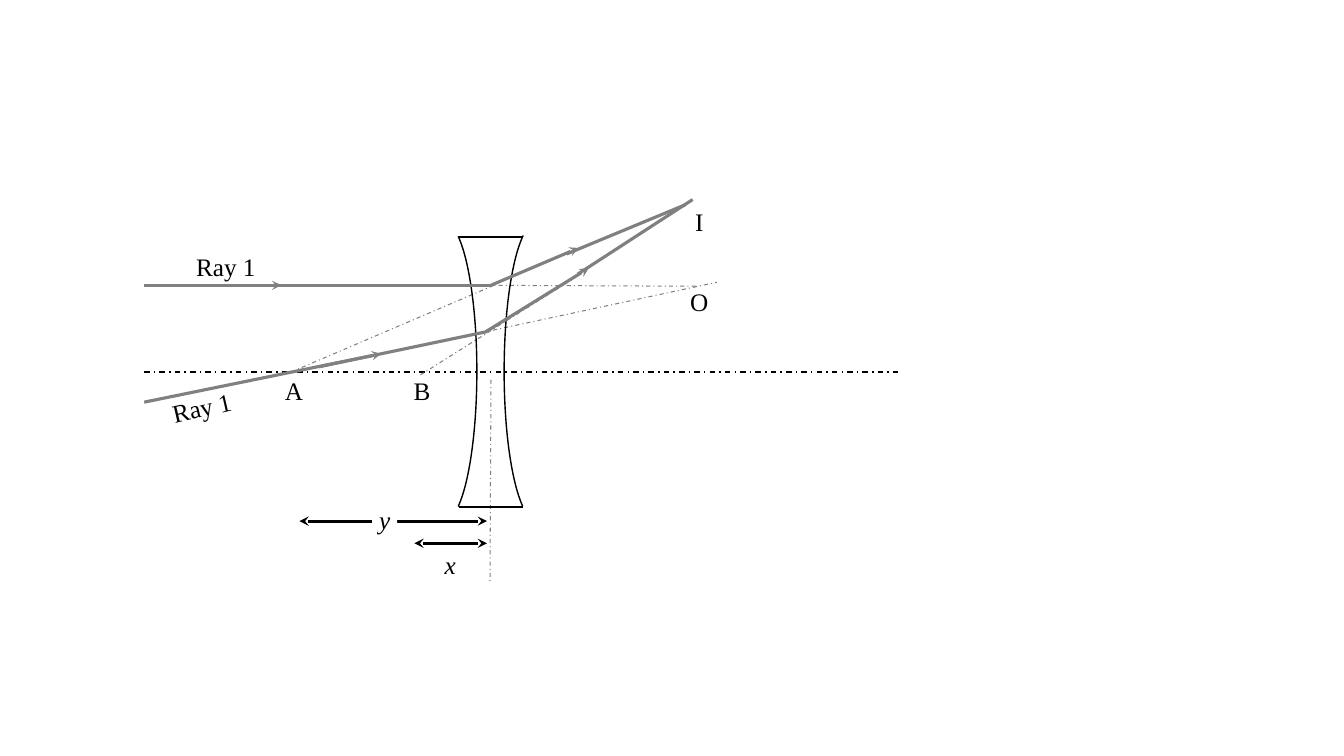
import pptx
import pptx.util
import pptx.dml.color
import pptx.enum.dml
import pptx.enum.shapes
import pptx.enum.text
import pptx.oxml
import pptx.oxml.ns

# Content: lengths in inches
HEX = {"ink": "000000", "ray": "808080", "paper": "FFFFFF"}
FONT = "Times New Roman"
WIDE, HIGH = 13.33, 7.5
AXIS, TOP, LEFT = 3.69, 2.83, 1.43   # optical axis, upper ray, ray start
LENS = 4.87                          # middle of the lens
BOX_W, BOX_H = 0.25, 0.3

# Thin guides: start, end, colour, width
GUIDES = [
    ((LEFT, AXIS), (8.91, AXIS), "ink", 1),
    ((2.89, AXIS), (4.9, TOP), "ray", 0.75),
    ((4.17, 3.72), (5.71, 2.75), "ray", 0.75),
    ((LENS, 3.77), (4.86, 5.78), "ray", 0.75),
    ((4.45, 3.37), (7.11, 2.8), "ray", 0.75),
    ((4.72, TOP), (6.92, 2.84), "ray", 0.75),
]

# Light rays: start, end, arrowheads
RAYS = [
    ((LEFT, TOP), (2.79, TOP), ["tail"]),
    ((LENS, TOP), (5.74, 2.46), ["tail"]),
    ((2.69, TOP), (LENS, TOP), []),
    ((LEFT, 3.99), (3.78, 3.51), ["tail"]),
    ((3.16, 3.64), (4.83, 3.29), []),
    ((4.82, 3.29), (5.84, 2.66), ["tail"]),
    ((5.62, 2.52), (6.8, 2.03), []),
    ((5.73, 2.72), (6.87, 1.98), []),
]

# Lens faces: left edge, arc angles in degrees
FACES = [(5, 95.998, 264.22), (4.08, 275.96, 84.048)]
RIMS = [2.35, 5.03]

# Distances from the lens: left end, height
SPANS = [(2.97, 5.17), (4.11, 5.39)]

# Labels: text, left, top, format
LABELS = [
    ("A", 2.79, 3.72, {}),
    ("B", 4.06, 3.72, {}),
    ("O", 6.81, 2.84, {}),
    ("I", 6.81, 2.05, {}),
    ("y", 3.69, 5, {"italic": True, "fill": "paper"}),
    ("x", 4.34, 5.45, {"italic": True, "fill": "paper"}),
    ("Ray 1", 1.69, 2.49, {"width": 1.1}),
    ("Ray 1", 1.45, 3.89, {"width": 1.1, "turn": 347}),
]

inch = pptx.util.Inches


def color(name):
    return pptx.dml.color.RGBColor.from_string(HEX[name])


def draw_line(start, end, tint, width, dash=False, heads=()):
    line = slide.shapes.add_connector(
        pptx.enum.shapes.MSO_CONNECTOR.STRAIGHT, *map(inch, start + end))
    line.line.color.rgb = color(tint)
    line.line.width = pptx.util.Pt(width)
    if dash:
        line.line.dash_style = pptx.enum.dml.MSO_LINE.DASH_DOT
    for head in heads:
        tip = pptx.oxml.parse_xml(
            f'<a:{head}End {pptx.oxml.ns.nsdecls("a")} type="stealth"/>')
        line.line._get_or_add_ln().append(tip)
    line._element.spPr.append(
        pptx.oxml.parse_xml(f'<a:effectLst {pptx.oxml.ns.nsdecls("a")}/>'))


def add_text(text, left, top, width=BOX_W, italic=None, fill=None, turn=0):
    box = slide.shapes.add_textbox(*map(inch, (left, top, width, BOX_H)))
    box.rotation = turn
    if fill:
        box.fill.solid()
        box.fill.fore_color.rgb = color(fill)
    frame = box.text_frame
    frame.word_wrap = True
    frame.auto_size = pptx.enum.text.MSO_AUTO_SIZE.SHAPE_TO_FIT_TEXT
    frame.margin_left = frame.margin_right = 0
    frame.margin_top = frame.margin_bottom = 0
    para = frame.paragraphs[0]
    para.alignment = pptx.enum.text.PP_ALIGN.CENTER
    run = para.add_run()
    run.text = text
    run.font.name = FONT
    run.font.size = pptx.util.Pt(18)
    run.font.italic = italic
    run.font.color.rgb = color("ink")


def draw_face(left, first, last):
    face = slide.shapes.add_shape(
        pptx.enum.shapes.MSO_SHAPE.ARC, *map(inch, (left, 2.2, 0.65, 2.97)))
    # An arc angle is stored in 60000ths of a degree, read in 100000ths
    face.adjustments[0] = first * 0.6
    face.adjustments[1] = last * 0.6
    face.shadow.inherit = False
    face.fill.background()
    face.line.color.rgb = color("ink")
    face.line.width = pptx.util.Pt(1)


deck = pptx.Presentation()
deck.slide_width, deck.slide_height = inch(WIDE), inch(HIGH)
slide = deck.slides.add_slide(deck.slide_layouts[6])

# Guides, lens and rays
for start, end, tint, width in GUIDES:
    draw_line(start, end, tint, width, dash=True)
for face in FACES:
    draw_face(*face)
for rim in RIMS:
    draw_line((4.55, rim), (5.19, rim), "ink", 1.5)
for start, end, heads in RAYS:
    draw_line(start, end, "ray", 2.25, heads=heads)

# Distances and labels
for left, row in SPANS:
    draw_line((left, row), (4.83, row), "ink", 2.25, heads=["head", "tail"])
for text, left, top, style in LABELS:
    add_text(text, left, top, **style)

deck.save("out.pptx")
